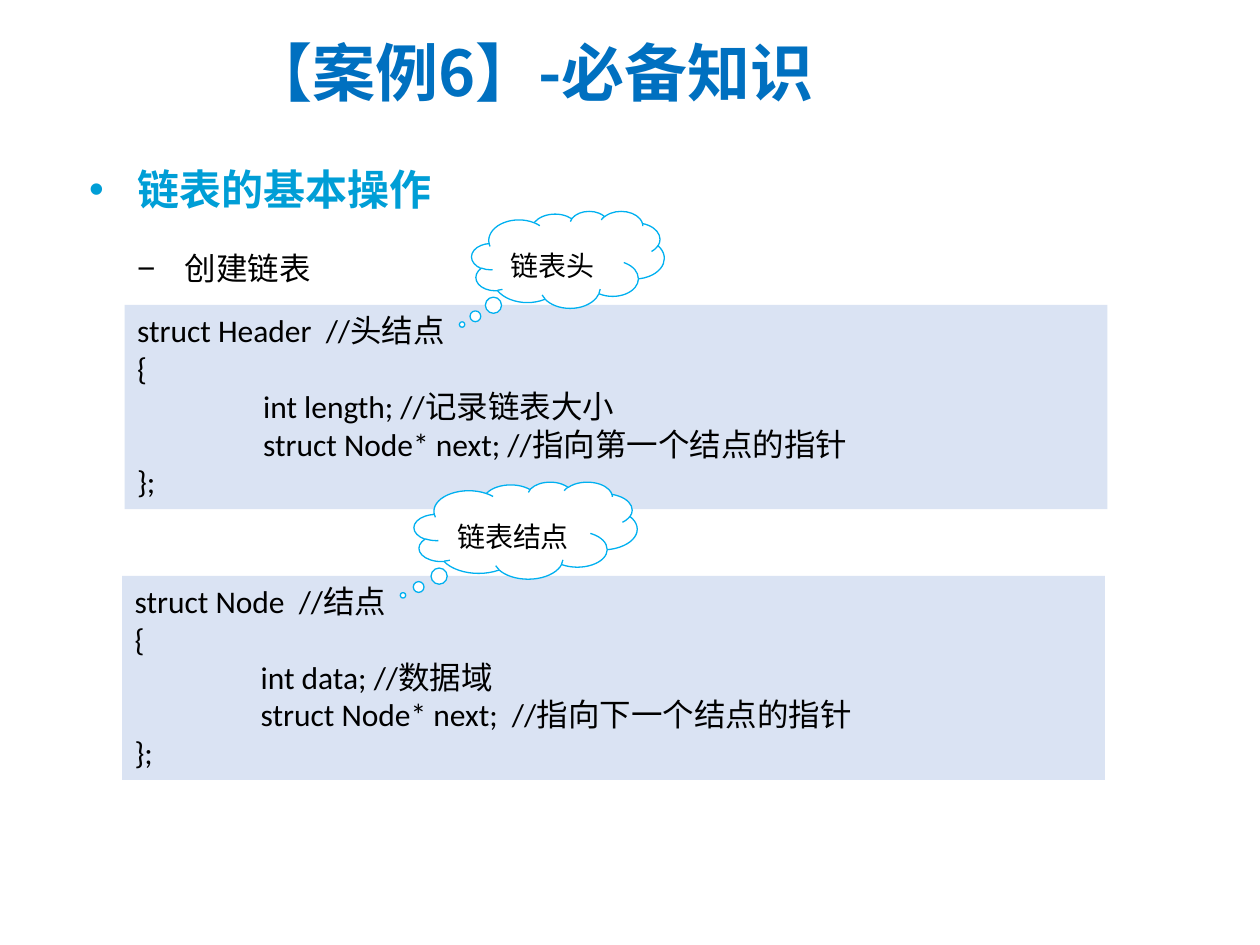
from lxml import etree
from pptx import Presentation
from pptx.dml.color import RGBColor
from pptx.enum.shapes import MSO_SHAPE
from pptx.enum.text import MSO_ANCHOR, MSO_AUTO_SIZE
from pptx.oxml.ns import qn
from pptx.util import Inches, Pt

WIDTH, HEIGHT = 10, 7.5
COLORS = {
    "title": "0070C0",
    "heading": "009ED6",
    "text": "000000",
    "panel": "DAE3F3",
    "cloud": "FFFFFF",
    "cloud_line": "00B0F0",
}
BODY_FONT = "Calibri"
TITLE_FONT = "Noto Sans CJK SC"


def share(left, top, width, height):
    """Turn percentages of the slide's size into a box of lengths."""
    return (Inches(WIDTH * left / 100), Inches(HEIGHT * top / 100),
            Inches(WIDTH * width / 100), Inches(HEIGHT * height / 100))


def write(shape, text, size=18, color="text", font=BODY_FONT, bold=False,
          anchor=MSO_ANCHOR.TOP, spacing=None, before=None, bullet=None,
          hanging=0, tab=None, grow=True):
    frame = shape.text_frame
    frame.word_wrap = True
    frame.vertical_anchor = anchor
    frame.auto_size = MSO_AUTO_SIZE.SHAPE_TO_FIT_TEXT if grow else MSO_AUTO_SIZE.NONE
    for index, line in enumerate(text.split("\n")):
        paragraph = frame.paragraphs[0] if index == 0 else frame.add_paragraph()
        if spacing:
            paragraph.line_spacing = spacing
        if before:
            paragraph.space_before = Pt(before)
        properties = paragraph._p.get_or_add_pPr()
        properties.set("algn", "l")
        if hanging:
            properties.set("marL", str(Inches(hanging)))
            properties.set("indent", str(-Inches(hanging)))
        if bullet:
            bullet_font = etree.SubElement(properties, qn("a:buFont"))
            bullet_font.set("typeface", "Arial")
            etree.SubElement(properties, qn("a:buChar")).set("char", bullet)
        if tab:
            tab_list = etree.SubElement(properties, qn("a:tabLst"))
            tab_stop = etree.SubElement(tab_list, qn("a:tab"))
            tab_stop.set("pos", str(Inches(tab)))
            tab_stop.set("algn", "l")
        run = paragraph.add_run()
        run.text = line
        run.font.size = Pt(size)
        run.font.bold = bold
        run.font.name = font
        run.font.color.rgb = RGBColor.from_string(COLORS[color])
        east_asian = etree.SubElement(run._r.get_or_add_rPr(), qn("a:ea"))
        east_asian.set("typeface", font)


def add_filled(slide, kind, box, fill, line=None):
    shape = slide.shapes.add_shape(kind, *box)
    shape.shadow.inherit = False
    shape.fill.solid()
    shape.fill.fore_color.rgb = RGBColor.from_string(COLORS[fill])
    if line:
        shape.line.color.rgb = RGBColor.from_string(COLORS[line])
        shape.line.width = Pt(0.75)
    else:
        shape.line.fill.background()
    return shape


def add_title(slide, box, text):
    write(slide.shapes.add_textbox(*box), text, size=36, color="title",
          font=TITLE_FONT, bold=True, anchor=MSO_ANCHOR.MIDDLE,
          hanging=0.62, grow=False)


def add_bullet(slide, box, text, bullet, size, **text_format):
    write(slide.shapes.add_textbox(*box), text, size=size, bullet=bullet,
          hanging=0.38, spacing=1.5, before=size * 0.2, **text_format)


def add_code_block(slide, box, code, label, cloud_left, cloud_width):
    """Code panel with a thought cloud overlapping its top edge."""
    left, top, width, height = box
    panel = add_filled(slide, MSO_SHAPE.RECTANGLE, box, "panel")
    write(panel, code, tab=1)
    cloud_box = (left + int(width * cloud_left), top - int(height * 0.46),
                 int(width * cloud_width), int(height * 0.475))
    cloud = add_filled(slide, MSO_SHAPE.CLOUD_CALLOUT, cloud_box,
                       "cloud", "cloud_line")
    cloud.adjustments[0] = -0.55
    cloud.adjustments[1] = 0.67
    write(cloud, label, size=16, anchor=MSO_ANCHOR.MIDDLE, spacing=1.5)


HEADER_CODE = """struct Header  //头结点
{
\tint length; //记录链表大小
\tstruct Node* next; //指向第一个结点的指针
};"""

NODE_CODE = """struct Node  //结点
{
\tint data; //数据域
\tstruct Node* next;  //指向下一个结点的指针
};"""


def main():
    presentation = Presentation()
    presentation.slide_width = Inches(WIDTH)
    presentation.slide_height = Inches(HEIGHT)
    slide = presentation.slides.add_slide(presentation.slide_layouts[6])

    # Title and bullets
    add_title(slide, share(18.8, 2, 56.3, 11.2), "【案例6】-必备知识")
    add_bullet(slide, share(6.1, 14, 29.5, 9.47), "链表的基本操作", "•", 24,
               color="heading", bold=True)
    add_bullet(slide, share(9.9, 23.73, 25.7, 7.47), "创建链表", "−", 18)

    # Code panels with their clouds
    add_code_block(slide, share(9.9, 32.27, 78, 21.6), HEADER_CODE,
                   "链表头", cloud_left=0.353, cloud_width=0.196)
    add_code_block(slide, share(9.7, 60.93, 78, 21.6), NODE_CODE,
                   "链表结点", cloud_left=0.297, cloud_width=0.227)

    presentation.save("out.pptx")


if __name__ == "__main__":
    main()
